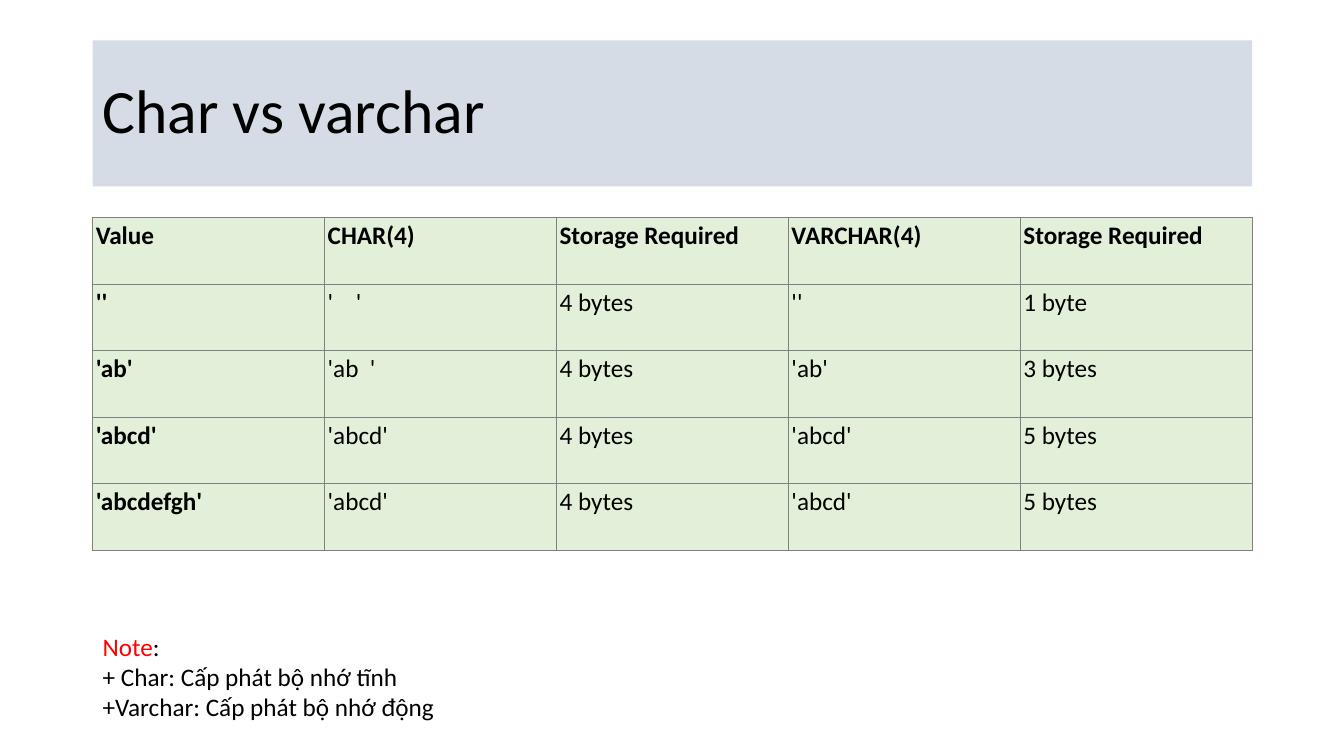
from dataclasses import dataclass

from lxml.etree import SubElement
from pptx import Presentation
from pptx.dml.color import RGBColor
from pptx.enum.text import MSO_ANCHOR, MSO_AUTO_SIZE
from pptx.oxml.ns import qn
from pptx.slide import Slide
from pptx.table import _Cell
from pptx.text.text import TextFrame, _Paragraph
from pptx.util import Inches, Pt

COLORS = {
    "black": "000000",
    "red": "FF0000",
    "title": "D6DCE5",
    "cell": "E2F0D9",
    "border": "808080",
}
LEFT = 0.92
WIDTH = 11.5
ROW_HEIGHT = 0.66
CELL_MARGIN = Inches(0.03)
HEADINGS = ("Value", "CHAR(4)", "Storage Required", "VARCHAR(4)", "Storage Required")


@dataclass(frozen=True)
class StorageRow:
    value: str
    char: str
    char_storage: str
    varchar: str
    varchar_storage: str

    def texts(self) -> tuple[str, ...]:
        return (self.value, self.char, self.char_storage, self.varchar, self.varchar_storage)


STORAGE_ROWS = (
    StorageRow("''", "'    '", "4 bytes", "''", "1 byte"),
    StorageRow("'ab'", "'ab  '", "4 bytes", "'ab'", "3 bytes"),
    StorageRow("'abcd'", "'abcd'", "4 bytes", "'abcd'", "5 bytes"),
    StorageRow("'abcdefgh'", "'abcd'", "4 bytes", "'abcd'", "5 bytes"),
)


def color(name: str) -> RGBColor:
    return RGBColor.from_string(COLORS[name])


def write(paragraph: _Paragraph, text: str, *, size: float = 18,
          tint: str = "black", bold: bool = False) -> None:
    span = paragraph.add_run()
    span.text = text
    span.font.name = "Calibri"
    span.font.size = Pt(size)
    span.font.bold = bold
    span.font.color.rgb = color(tint)


def add_title(page: Slide) -> None:
    box = page.shapes.add_textbox(Inches(LEFT), Inches(0.4), Inches(WIDTH), Inches(1.45))
    box.fill.solid()
    box.fill.fore_color.rgb = color("title")
    frame = box.text_frame
    frame.word_wrap = True
    frame.vertical_anchor = MSO_ANCHOR.MIDDLE
    frame.paragraphs[0].line_spacing = 0.9
    write(frame.paragraphs[0], "Char vs varchar", size=44)


def style_cell(cell: _Cell) -> None:
    cell.margin_left = cell.margin_right = CELL_MARGIN
    cell.margin_top = cell.margin_bottom = CELL_MARGIN
    properties = cell._tc.get_or_add_tcPr()
    for side in ("a:lnL", "a:lnR", "a:lnT", "a:lnB"):
        line = SubElement(properties, qn(side), w=str(Pt(1)))
        fill = SubElement(line, qn("a:solidFill"))
        SubElement(fill, qn("a:srgbClr"), val=COLORS["border"])
    cell.fill.solid()
    cell.fill.fore_color.rgb = color("cell")


def add_storage_table(page: Slide) -> None:
    rows = (HEADINGS, *(row.texts() for row in STORAGE_ROWS))
    table = page.shapes.add_table(
        len(rows), len(HEADINGS), Inches(LEFT), Inches(2.16),
        Inches(WIDTH), Inches(ROW_HEIGHT * len(rows)),
    ).table
    for row_index, texts in enumerate(rows):
        for column_index, text in enumerate(texts):
            cell = table.cell(row_index, column_index)
            style_cell(cell)
            write(cell.text_frame.paragraphs[0], text,
                  bold=row_index == 0 or column_index == 0)


def add_note(page: Slide) -> None:
    box = page.shapes.add_textbox(Inches(LEFT), Inches(6.21), Inches(5.19), Inches(1.01))
    frame: TextFrame = box.text_frame
    frame.word_wrap = True
    frame.auto_size = MSO_AUTO_SIZE.SHAPE_TO_FIT_TEXT
    write(frame.paragraphs[0], "Note", tint="red")
    write(frame.paragraphs[0], ":")
    for text in ("+ Char: Cấp phát bộ nhớ tĩnh", "+Varchar: Cấp phát bộ nhớ động"):
        write(frame.add_paragraph(), text)


def main() -> None:
    """Build the slide comparing CHAR and VARCHAR storage."""
    deck = Presentation()
    deck.slide_width = Inches(13.33)
    deck.slide_height = Inches(7.5)
    page = deck.slides.add_slide(deck.slide_layouts[6])
    add_title(page)
    add_storage_table(page)
    add_note(page)
    deck.save("out.pptx")


if __name__ == "__main__":
    main()
